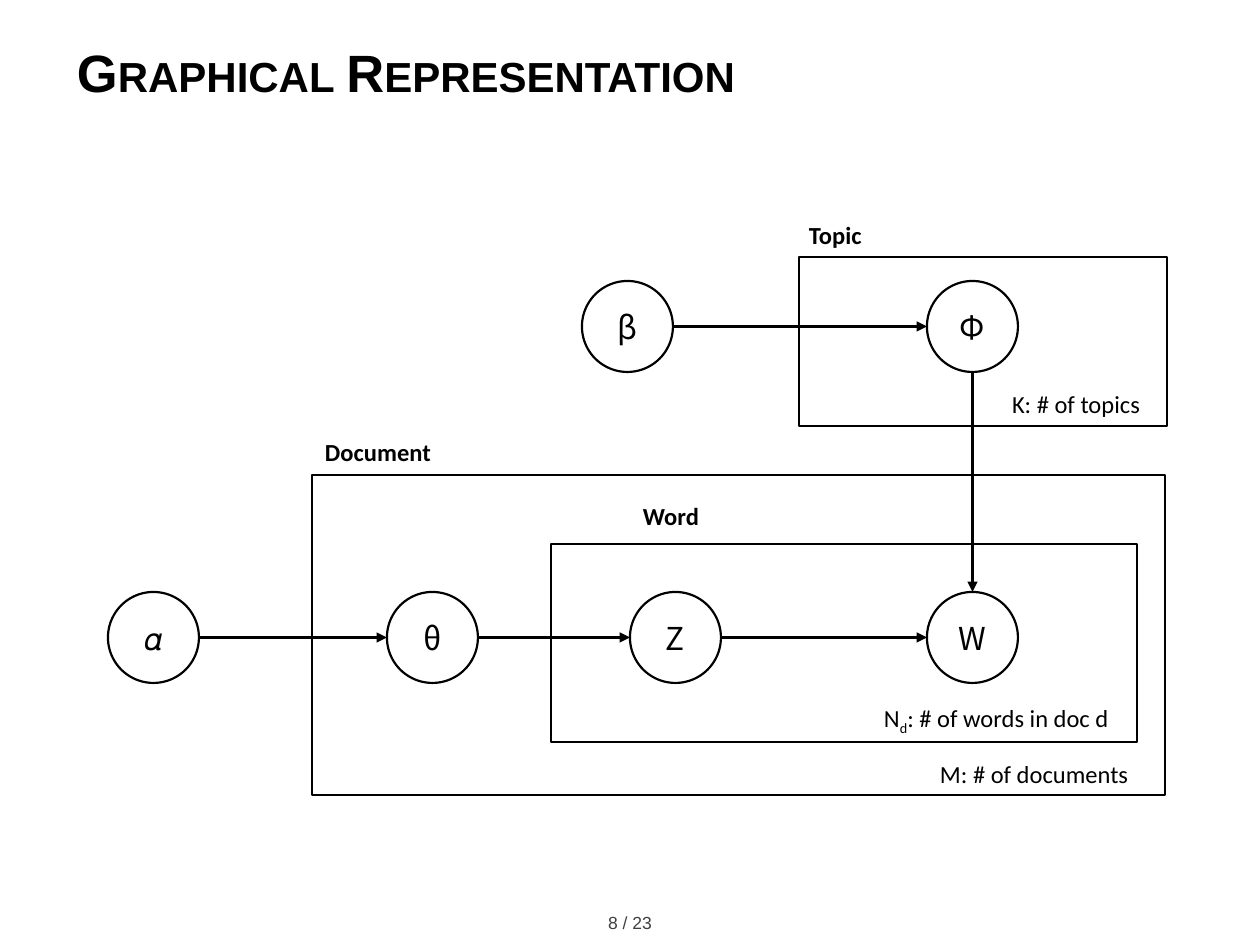
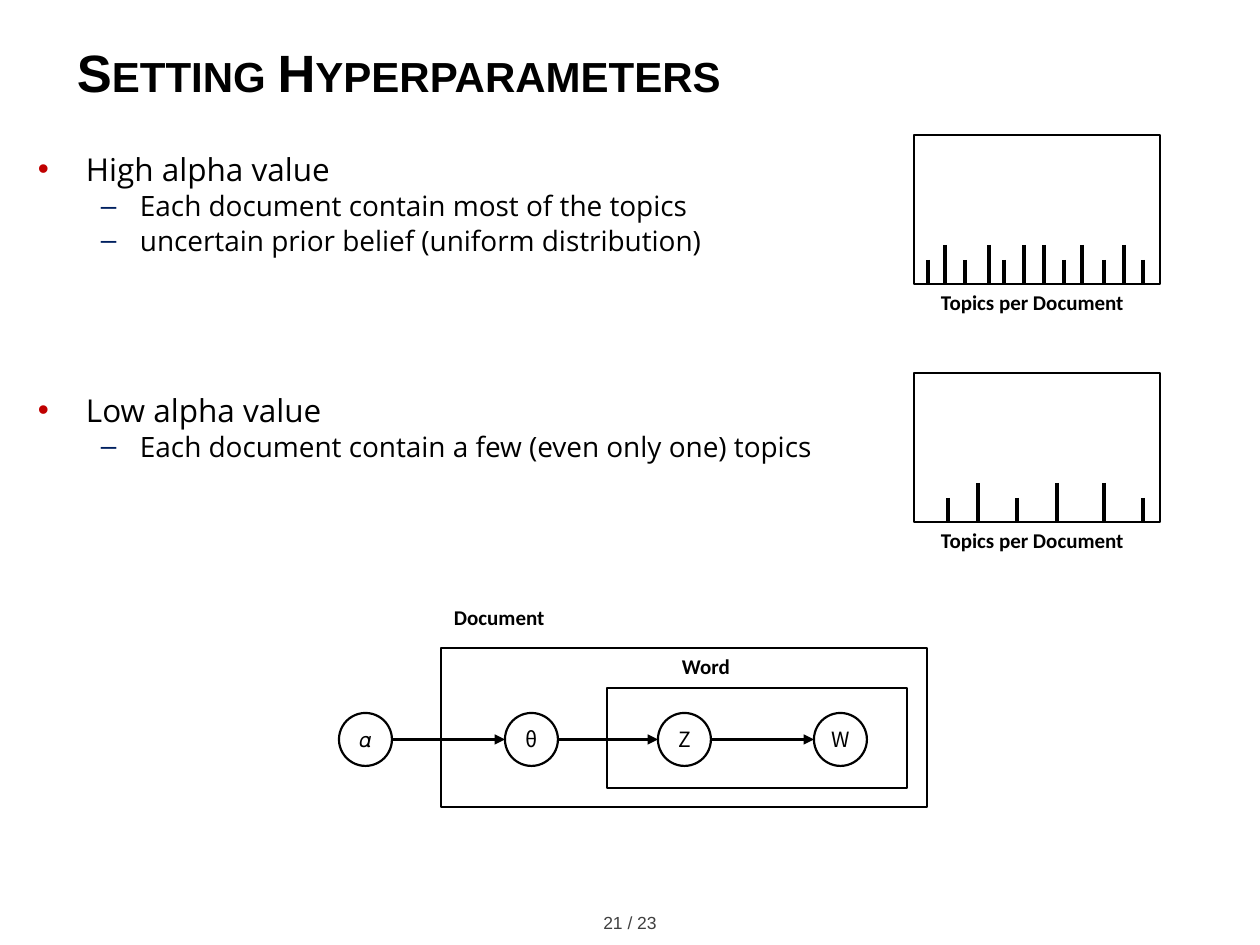
"""Build two slides on a topic model: its plate diagram and its hyperparameters."""
import pptx
import pptx.dml.color
import pptx.enum.shapes
import pptx.enum.text
import pptx.oxml.ns
import pptx.util
from lxml import etree

COLORS = {
    "ink": "000000",
    "paper": "FFFFFF",
    "footer": "404040",
    "bullet": "C00000",
    "dash": "002060",
}
HEAD, BODY, LABEL, SYMBOL = "Arial", "Open Sans", "Calibri", "Noto Sans CJK KR"
WIDTH, HEIGHT = 1260, 945
PAGES = 23
LEFT, CENTER = pptx.enum.text.PP_ALIGN.LEFT, pptx.enum.text.PP_ALIGN.CENTER
TOP, MIDDLE = pptx.enum.text.MSO_ANCHOR.TOP, pptx.enum.text.MSO_ANCHOR.MIDDLE
RECT = pptx.enum.shapes.MSO_SHAPE.RECTANGLE
OVAL = pptx.enum.shapes.MSO_SHAPE.OVAL


def px(n):
    """Turn pixels into EMU."""
    return pptx.util.Emu(round(n * 914400 / 126))


def rgb(name):
    """Look up a named colour."""
    return pptx.dml.color.RGBColor.from_string(COLORS[name])


def child(parent, tag, **attrs):
    """Append a DrawingML element."""
    return etree.SubElement(parent, pptx.oxml.ns.qn(tag), attrs)


def add_run(p, text, font, size, color="ink", bold=False):
    """Add one formatted run."""
    r = p.add_run()
    r.text = text
    r.font.name, r.font.size, r.font.bold = font, pptx.util.Pt(size), bold
    r.font.color.rgb = rgb(color)
    return r


def add_box(s, box, insets=(13, 6), anchor=TOP):
    """Add an empty wrapping text box and return its frame."""
    tf = s.shapes.add_textbox(*map(px, box)).text_frame
    tf.word_wrap = True
    tf.margin_left = tf.margin_right = px(insets[0])
    tf.margin_top = tf.margin_bottom = px(insets[1])
    tf.vertical_anchor = anchor
    return tf


def add_label(s, box, text, size, bold=False):
    """Add a one-line label and return its paragraph."""
    p = add_box(s, box).paragraphs[0]
    add_run(p, text, LABEL, size, bold=bold)
    return p


def add_outline(s, kind, box, weight=1.25, filled=True):
    """Add a black outlined shape."""
    sp = s.shapes.add_shape(kind, *map(px, box))
    sp.shadow.inherit = False
    if filled:
        sp.fill.solid()
        sp.fill.fore_color.rgb = rgb("paper")
    else:
        sp.fill.background()
    sp.line.color.rgb = rgb("ink")
    sp.line.width = pptx.util.Pt(weight)
    return sp


def add_node(s, x, y, size, symbol, pt):
    """Add a round variable node."""
    tf = add_outline(s, OVAL, (x, y, size, size)).text_frame
    tf.margin_left = tf.margin_right = tf.margin_top = tf.margin_bottom = 0
    tf.word_wrap = False
    tf.vertical_anchor = MIDDLE
    p = tf.paragraphs[0]
    p.alignment = CENTER
    add_run(p, symbol, SYMBOL, pt)


def add_line(s, x1, y1, x2, y2, weight=1.5, arrow=True):
    """Add a straight line, with an arrowhead at its end if wanted."""
    kind = pptx.enum.shapes.MSO_CONNECTOR.STRAIGHT
    c = s.shapes.add_connector(kind, *map(px, (x1, y1, x2, y2)))
    c.line.color.rgb = rgb("ink")
    c.line.width = pptx.util.Pt(weight)
    if arrow:
        child(c.line._get_or_add_ln(), "a:tailEnd", type="triangle")
    child(c._element.spPr, "a:effectLst")


def add_frame(prs, title, page):
    """Add a slide with its title and page number."""
    s = prs.slides.add_slide(prs.slide_layouts[6])
    p = add_box(s, (0, 906, WIDTH, 34), (10, 6)).paragraphs[0]
    p.alignment = CENTER
    add_run(p, f"{page} / {PAGES}", HEAD, 10, "footer")
    p = add_box(s, (64, 16, 1171, 110), anchor=MIDDLE).paragraphs[0]
    r = add_run(p, title, HEAD, 30, bold=True)
    r.font._element.set("cap", "small")
    return s


def document_model(s, box, word_box, nodes_x, node_y, size, pt, label_pt, document_dy, word_at):
    """Draw the document and word plates with their chain of nodes."""
    x, y, w, h = box
    wx, wy, ww, wh = word_box
    label_h = 43 if label_pt > 12 else 38
    add_outline(s, RECT, box)
    add_outline(s, RECT, (x + wx, y + wy, ww, wh))
    add_label(s, (x, y + document_dy, 149, label_h), "Document", label_pt, True)
    add_label(s, (x + word_at[0], y + word_at[1], 88, label_h), "Word", label_pt, True)
    for node_x, symbol in zip(nodes_x, "𝛼θZW"):
        add_node(s, x + node_x, y + node_y, size, symbol, pt)
    mid = y + node_y + size / 2
    for start, end in zip(nodes_x, nodes_x[1:]):
        add_line(s, x + start + size, mid, x + end, mid)


def plate_counts(s, box):
    """Label how many words and documents the plates repeat."""
    x, y, w, h = box
    add_label(s, (x + 615, y + 278, 233, 43), "M: # of documents", 14)
    p = add_label(s, (x + 559, y + 222, 261, 43), "N", 14)
    sub = add_run(p, "d", LABEL, 14)
    sub.font._element.set("baseline", "-25000")
    add_run(p, ": # of words in doc d", LABEL, 14)


def topic_model(s, box, size, word_node_y):
    """Draw the topic plate, its prior and the arrow to the word node."""
    x, y, w, h = box
    beta_x, phi_x, node_y = x - 217, x + 128, y + 24
    mid_x, mid_y = phi_x + size / 2, node_y + size / 2
    add_outline(s, RECT, box)
    add_label(s, (x - 3, y - 43, 149, 43), "Topic", 14, True)
    add_label(s, (x + 200, y + 126, 159, 43), "K: # of topics", 14)
    add_node(s, phi_x, node_y, size, "Φ", 18)
    add_node(s, beta_x, node_y, size, "β", 18)
    add_line(s, beta_x + size, mid_y, phi_x, mid_y)
    add_line(s, mid_x, node_y + size, mid_x, word_node_y)


def bullet_list(s, box, items):
    """Write a two-level bullet list of (level, space before, text)."""
    styles = (("•", "bullet", 48, -48, 18), ("–", "dash", 102, -39, 16))
    tf = add_box(s, box)
    for i, (level, before, text) in enumerate(items):
        char, color, margin, indent, size = styles[level]
        p = tf.paragraphs[0] if i == 0 else tf.add_paragraph()
        p.level = level
        pPr = p._p.get_or_add_pPr()
        pPr.set("marL", str(px(margin)))
        pPr.set("indent", str(px(indent)))
        child(child(pPr, "a:buClr"), "a:srgbClr", val=COLORS[color])
        child(pPr, "a:buFont", typeface=HEAD)
        child(pPr, "a:buChar", char=char)
        p.alignment = LEFT
        p.space_before = pptx.util.Pt(before)
        add_run(p, text, BODY, size)


def topic_spikes(s, box, tall, short):
    """Sketch a topic distribution as tall and short spikes."""
    x, y, w, h = box
    add_outline(s, RECT, box, 1.5, filled=False)
    for offsets, height in ((tall, 39), (short, 24)):
        for dx in offsets:
            add_line(s, x + dx, y + h - height, x + dx, y + h, 2, arrow=False)
    add_label(s, (x + 14, y + h, 226, 38), "Topics per Document", 12, True)


def graphical_slide(prs):
    """Build the full plate diagram."""
    s = add_frame(prs, "Graphical Representation", 8)
    box, node_y, size = (312, 475, 853, 320), 117, 91
    document_model(s, box, (239, 69, 586, 198), (-204, 75, 318, 615), node_y, size,
                   pt=18, label_pt=14, document_dy=-44, word_at=(318, 20))
    plate_counts(s, box)
    topic_model(s, (799, 257, 368, 169), size, box[1] + node_y)


def hyperparameter_slide(prs):
    """Build the comparison of high and low alpha."""
    s = add_frame(prs, "Setting Hyperparameters", 21)
    bullet_list(s, (25, 144, 1211, 752), (
        (0, 0, "High alpha value"),
        (1, 0.5, "Each document contain most of the topics"),
        (1, 0.5, "uncertain prior belief (uniform distribution)"),
        (0, 76.5, "Low alpha value"),
        (1, 0.5, "Each document contain a few (even only one) topics"),
    ))
    document_model(s, (441, 648, 486, 159), (166, 40, 300, 100), (-102, 64, 217, 373), 65, 53,
                   pt=12, label_pt=12, document_dy=-49, word_at=(228, 0))
    topic_spikes(s, (914, 135, 246, 149), tall=(31, 75, 110, 130, 168, 210),
                 short=(14, 51, 90, 150, 190, 229))
    topic_spikes(s, (914, 373, 246, 149), tall=(64, 143, 190), short=(34, 103, 229))


def main():
    """Build and save the presentation."""
    prs = pptx.Presentation()
    prs.slide_width, prs.slide_height = px(WIDTH), px(HEIGHT)
    graphical_slide(prs)
    hyperparameter_slide(prs)
    prs.save("out.pptx")


if __name__ == "__main__":
    main()
